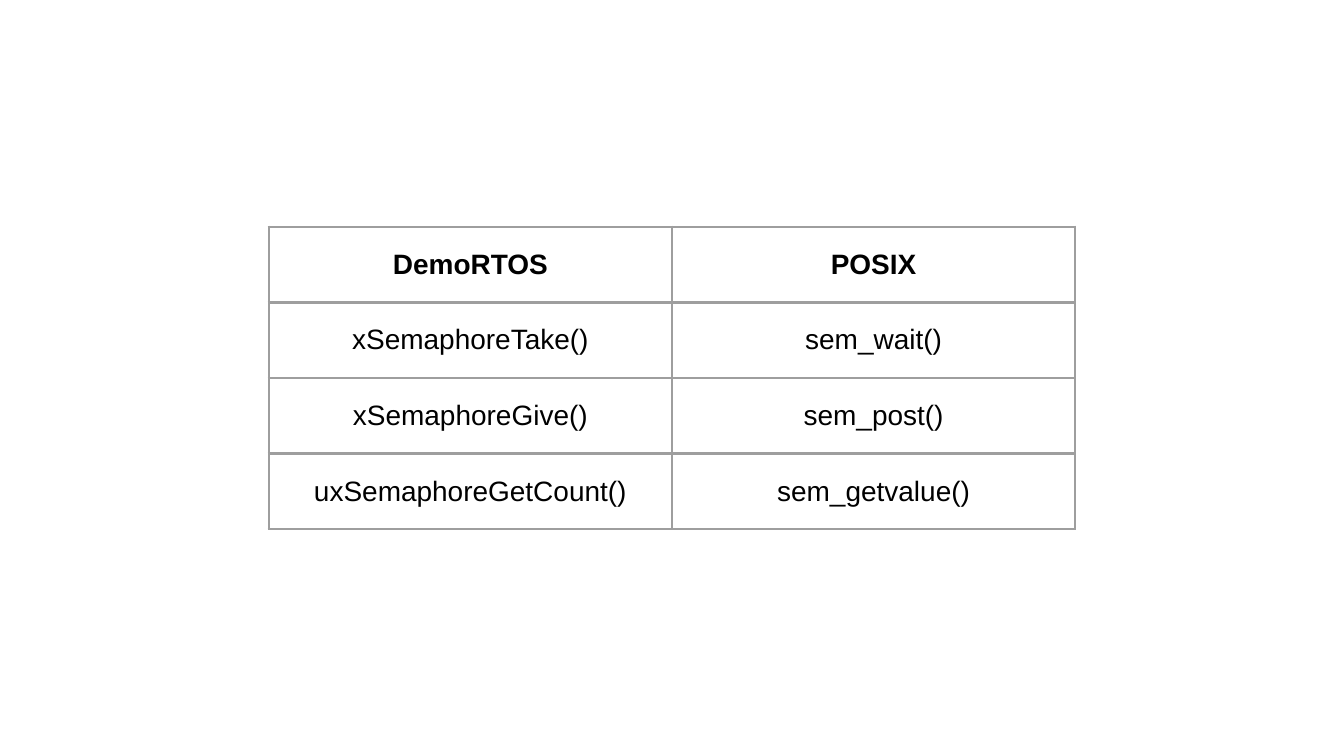
"""Build a slide that pairs kernel semaphore calls with their POSIX counterparts."""

from dataclasses import dataclass

from lxml.etree import SubElement
from pptx import Presentation
from pptx.dml.color import RGBColor
from pptx.enum.text import MSO_ANCHOR, PP_ALIGN
from pptx.oxml.ns import qn
from pptx.slide import Slide
from pptx.table import _Cell
from pptx.util import Inches, Pt


@dataclass(frozen=True)
class Theme:
    font: str = "Arial"
    text_size: int = 30
    text_color: str = "000000"
    border_color: str = "9E9E9E"
    border_width: int = 3
    background: str = "FFFFFF"


@dataclass(frozen=True)
class CallPair:
    kernel: str
    posix: str


THEME = Theme()
SLIDE_WIDTH = Inches(20)
SLIDE_HEIGHT = Inches(11.25)
TABLE_LEFT = 0.2
TABLE_TOP = 0.3
COLUMN_WIDTH = 0.3
ROW_HEIGHT = 0.1
HEADING = CallPair("DemoRTOS", "POSIX")
CALL_PAIRS = [
    CallPair("xSemaphoreTake()", "sem_wait()"),
    CallPair("xSemaphoreGive()", "sem_post()"),
    CallPair("uxSemaphoreGetCount()", "sem_getvalue()"),
]


def draw_borders(cell: _Cell) -> None:
    properties = cell._tc.get_or_add_tcPr()
    for side in ("lnL", "lnR", "lnT", "lnB"):
        line = SubElement(properties, qn(f"a:{side}"), w=str(Pt(THEME.border_width)))
        fill = SubElement(line, qn("a:solidFill"))
        SubElement(fill, qn("a:srgbClr"), val=THEME.border_color)


def fill_cell(cell: _Cell, text: str, bold: bool) -> None:
    draw_borders(cell)
    cell.fill.background()
    cell.vertical_anchor = MSO_ANCHOR.MIDDLE
    paragraph = cell.text_frame.paragraphs[0]
    paragraph.alignment = PP_ALIGN.CENTER
    run = paragraph.add_run()
    run.text = text
    run.font.name = THEME.font
    run.font.size = Pt(THEME.text_size)
    run.font.bold = bold
    run.font.color.rgb = RGBColor.from_string(THEME.text_color)


def draw_table(slide: Slide, pairs: list[CallPair]) -> None:
    table = slide.shapes.add_table(
        len(pairs), 2,
        int(TABLE_LEFT * SLIDE_WIDTH), int(TABLE_TOP * SLIDE_HEIGHT),
        int(2 * COLUMN_WIDTH * SLIDE_WIDTH),
        int(len(pairs) * ROW_HEIGHT * SLIDE_HEIGHT),
    ).table
    table.horz_banding = False
    for row, pair in enumerate(pairs):
        for column, text in enumerate((pair.kernel, pair.posix)):
            fill_cell(table.cell(row, column), text, bold=pair is HEADING)


def main() -> None:
    presentation = Presentation()
    presentation.slide_width = SLIDE_WIDTH
    presentation.slide_height = SLIDE_HEIGHT
    slide = presentation.slides.add_slide(presentation.slide_layouts.get_by_name("Blank"))
    slide.background.fill.solid()
    slide.background.fill.fore_color.rgb = RGBColor.from_string(THEME.background)
    draw_table(slide, [HEADING, *CALL_PAIRS])
    presentation.save("out.pptx")


if __name__ == "__main__":
    main()
